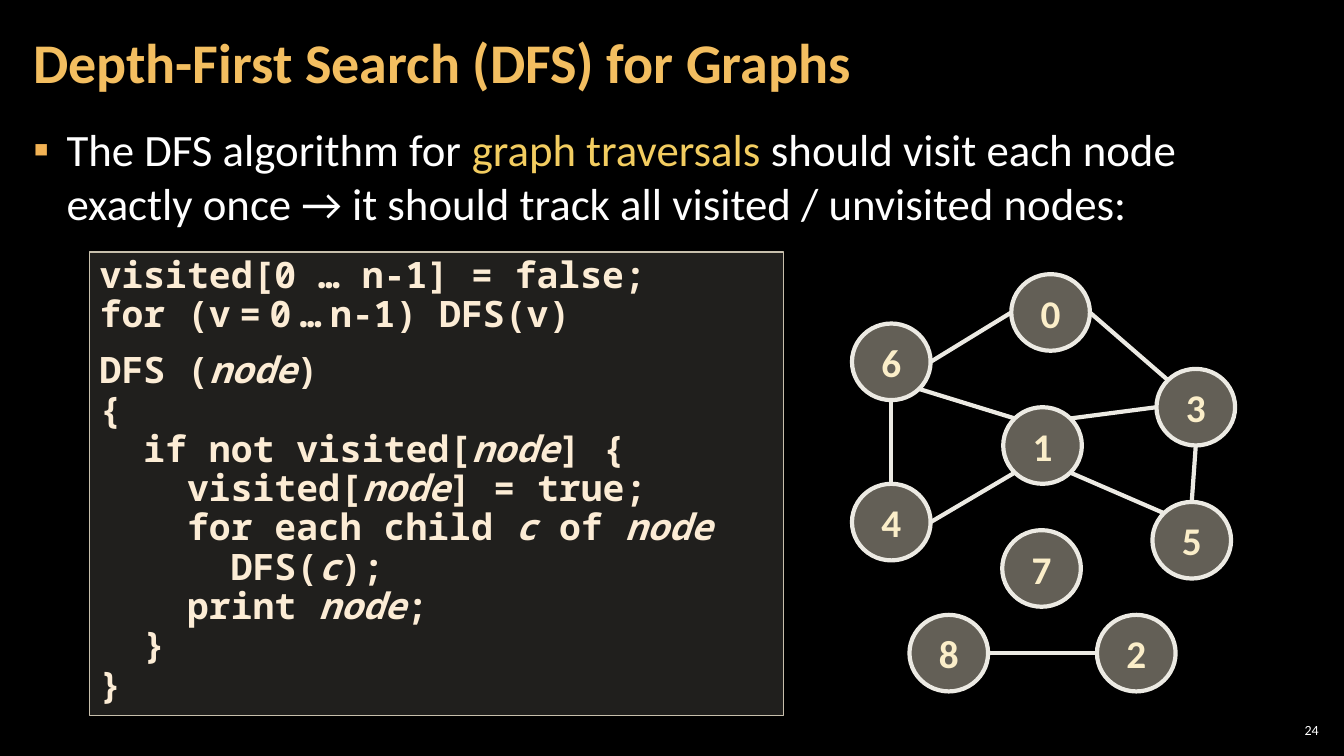
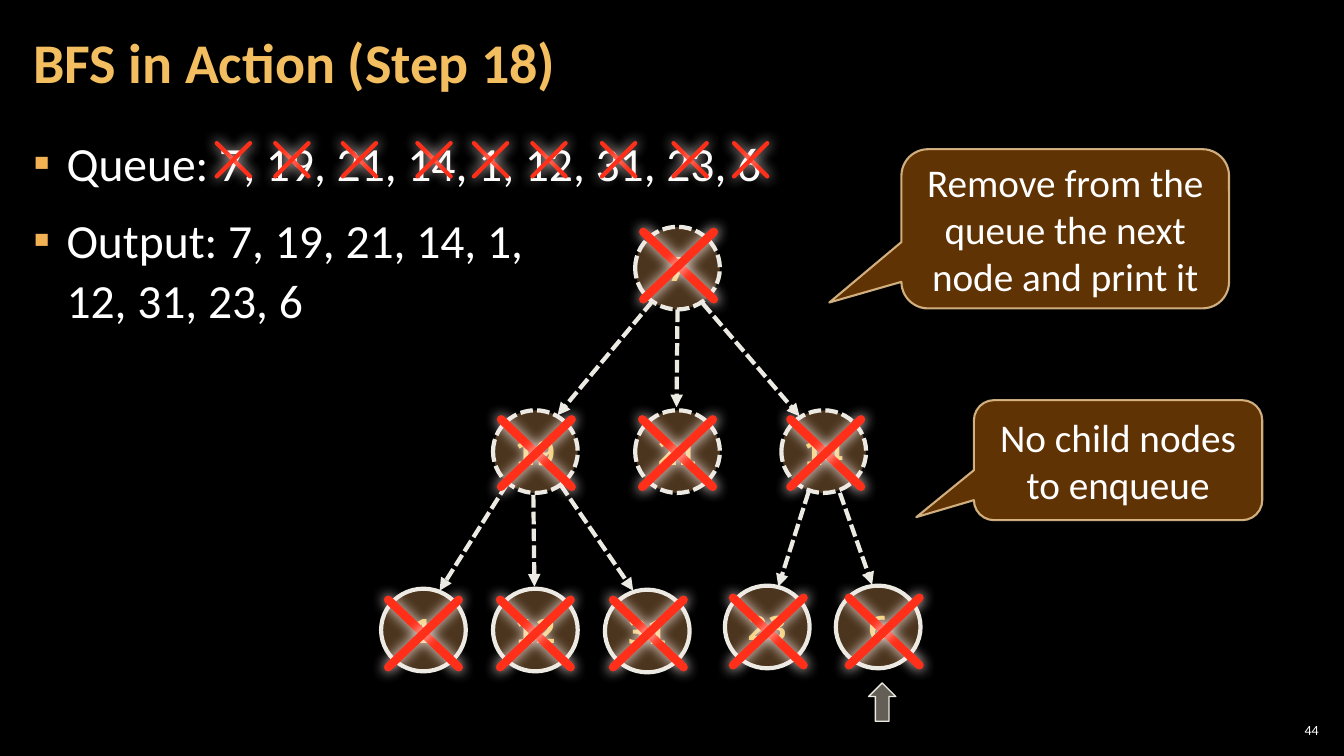
import dataclasses
import math
from typing import Any, NamedTuple, Optional

import lxml.etree
import pptx
import pptx.dml.color
import pptx.enum.dml
import pptx.enum.shapes
import pptx.enum.text
import pptx.oxml.ns
import pptx.slide
import pptx.util

Inches = pptx.util.Inches
qn = pptx.oxml.ns.qn
MIDDLE = pptx.enum.text.MSO_ANCHOR.MIDDLE
CENTER = pptx.enum.text.PP_ALIGN.CENTER
RIGHT = pptx.enum.text.PP_ALIGN.RIGHT
SHAPE = pptx.enum.shapes.MSO_SHAPE
DASH = pptx.enum.dml.MSO_LINE.SQUARE_DOT

Point = tuple[float, float]
Box = tuple[float, float, float, float]


@dataclasses.dataclass(frozen=True)
class Theme:
    # Colours
    background: str = "000000"
    text: str = "FFFFFF"
    title: str = "F3BE60"
    accent: str = "F3CD60"
    bullet: str = "F2B254"
    code: str = "FCECD5"
    panel: str = "D9D5C7"
    sand: str = "C7BFAC"
    line: str = "ECEAE3"
    graph_label: str = "FBEEC9"
    tree_fill: str = "6C4C2C"
    callout: str = "663606"
    callout_line: str = "F8D49E"
    cross: str = "FF2F19"
    glow: str = "FFEDEB"
    # Fonts and type sizes
    font: str = "Calibri"
    mono: str = "Noto Sans Mono"
    title_pt: int = 40
    label_pt: int = 28
    code_pt: int = 26
    tree_pt: int = 24
    page_pt: int = 10
    narrow_pt: int = 10


T = Theme()


class Node(NamedTuple):
    label: str
    left: float
    top: float


class TreeNode(NamedTuple):
    label: str
    left: float
    top: float
    cross: Point
    dash: Optional[Any] = None


class Edge(NamedTuple):
    start: str
    start_side: str
    end: str
    end_side: str


class Callout(NamedTuple):
    text: str
    box: Box
    tip: Point


# Text and format helpers
def rgb(color: str) -> pptx.dml.color.RGBColor:
    return pptx.dml.color.RGBColor.from_string(color)


def add_xml(parent: Any, tag: str, **attrs: str) -> Any:
    return lxml.etree.SubElement(parent, qn(tag), attrs)


def set_alpha(parent: Any, percent: int) -> None:
    add_xml(parent.find(qn("a:solidFill"))[0], "a:alpha", val=str(percent * 1000))


def write(tf: Any, text: str, *, size: float, color: str, font: str = T.font,
          bold: bool = False, align: Any = None, spacing: Optional[float] = None,
          before: float = 0, after: float = 0, bullet: str = "",
          alt: Optional[dict[str, Any]] = None) -> None:
    """Add a paragraph; every second piece between bars takes the alt format."""
    first = not tf.paragraphs[0].runs
    p = tf.paragraphs[0] if first else tf.add_paragraph()
    if bullet:
        pPr = p._p.get_or_add_pPr()
        pPr.set("marL", str(Inches(0.33)))
        pPr.set("indent", str(-Inches(0.33)))
        add_xml(add_xml(pPr, "a:buClr"), "a:srgbClr", val=T.bullet)
        add_xml(pPr, "a:buFont", typeface=T.font)
        add_xml(pPr, "a:buChar", char=bullet)
    p.alignment = align
    p.line_spacing = spacing
    p.space_before = pptx.util.Pt(0 if first else before)
    p.space_after = pptx.util.Pt(after)
    for i, piece in enumerate(text.split("|")):
        look = {"size": size, "color": color, "italic": False}
        if i % 2:
            look.update(alt or {})
        for j, row in enumerate(piece.split("\n")):
            if j:
                p.add_line_break()
            r = p.add_run()
            r.text = row
            r.font.name = font
            r.font.size = pptx.util.Pt(look["size"])
            r.font.bold = bold
            r.font.italic = look["italic"]
            r.font.color.rgb = rgb(look["color"])


def set_frame(tf: Any, insets: Box, anchor: Any = None, wrap: bool = True) -> Any:
    tf.word_wrap = wrap
    tf.vertical_anchor = anchor
    tf.margin_left, tf.margin_top, tf.margin_right, tf.margin_bottom = map(Inches, insets)
    return tf


# Drawing helpers
def add_text(s: pptx.slide.Slide, box: Box, insets: Box, anchor: Any = None) -> Any:
    return set_frame(s.shapes.add_textbox(*map(Inches, box)).text_frame, insets, anchor)


def add_panel(s: pptx.slide.Slide, kind: Any, box: Box, fill: str, alpha: int,
              line: str, width: float, dash: Any = None) -> Any:
    sp = s.shapes.add_shape(kind, *map(Inches, box))
    sp.shadow.inherit = False
    sp.fill.solid()
    sp.fill.fore_color.rgb = rgb(fill)
    set_alpha(sp.element.spPr, alpha)
    sp.line.color.rgb = rgb(line)
    sp.line.width = pptx.util.Pt(width)
    if dash:
        sp.line.dash_style = dash
    return sp


def add_line(shapes: Any, start: Point, end: Point, color: str = T.line, width: float = 3,
             arrow: bool = False, glow: bool = False) -> None:
    line = shapes.add_connector(pptx.enum.shapes.MSO_CONNECTOR.STRAIGHT,
                                *map(Inches, start + end))
    line.line.color.rgb = rgb(color)
    line.line.width = pptx.util.Pt(width)
    spPr = line.element.spPr
    ln = spPr.find(qn("a:ln"))
    if arrow:
        line.line.dash_style = DASH
        add_xml(ln, "a:tailEnd", type="triangle")
    effects = add_xml(spPr, "a:effectLst")
    if glow:
        ln.set("cap", "rnd")
        shadow = add_xml(effects, "a:outerShdw", blurRad=str(pptx.util.Pt(10)), dist="0",
                         dir="5400000", algn="ctr", rotWithShape="0")
        add_xml(add_xml(shadow, "a:srgbClr", val=T.glow), "a:alpha", val="100000")


def add_cross(s: pptx.slide.Slide, corner: Point, w: float, h: float, width: float) -> None:
    x, y = corner
    group = s.shapes.add_group_shape()
    for x1, x2 in ((x, x + w), (x + w, x)):
        add_line(group.shapes, (x1, y), (x2, y + h), T.cross, width, glow=True)


def add_callout(s: pptx.slide.Slide, callout: Callout) -> None:
    sp = add_panel(s, SHAPE.ROUNDED_RECTANGULAR_CALLOUT, callout.box, T.callout, 95,
                   T.callout_line, 1.5)
    set_alpha(sp.element.spPr.find(qn("a:ln")), 80)
    for i, value in enumerate(callout.tip + (0.167,)):
        sp.adjustments[i] = value
    tf = set_frame(sp.text_frame, (0.1, 0.05, 0.1, 0.05), MIDDLE)
    write(tf, callout.text, size=T.label_pt, color=T.text, align=CENTER)


def new_slide(prs: Any, title: str, page: int, body_top: float) -> tuple[pptx.slide.Slide, Any]:
    """Make a slide with title and page number; return it with its body frame."""
    s = prs.slides.add_slide(prs.slide_layouts[6])
    s.background.fill.solid()
    s.background.fill.fore_color.rgb = rgb(T.background)
    insets = (0.12, 0.04, 0.12, 0.04)
    write(add_text(s, (12.65, 7.14, 0.47, 0.21), (0.04,) * 4, MIDDLE), str(page),
          size=T.page_pt, color=T.text, align=RIGHT)
    body = add_text(s, (0.21, body_top, 12.91, 6.09), insets)
    write(add_text(s, (0.21, 0.04, 10.47, 1.21), insets, MIDDLE), title,
          size=T.title_pt, color=T.title, bold=True, spacing=0.9)
    return s, body


# Slide: DFS code and graph
CODE = (
    "visited[0 … n-1] = false;",
    "for (v| |=| |0| |…| |n-1) DFS(v)",
    "DFS (|node|)",
    "{",
    "  if not visited[|node|] {",
    "    visited[|node|] = true;",
    "    for each child |c| of |node",
    "      DFS(|c|);",
    "    print |node|;",
    "  }",
    "}",
)
NARROW_ROW, FUNCTION_ROW = 1, 2
GRAPH_W, GRAPH_H = 0.78, 0.76
GRAPH = {n.label: n for n in (
    Node("0", 10.03, 2.72), Node("6", 8.45, 3.21), Node("4", 8.45, 4.8),
    Node("1", 9.95, 4.04), Node("5", 11.43, 4.98), Node("2", 10.88, 6.1),
    Node("3", 11.47, 3.66), Node("8", 9.02, 6.1), Node("7", 9.94, 5.26),
)}
EDGES = (
    Edge("0", "W", "6", "E"), Edge("0", "E", "3", "NW"), Edge("3", "S", "5", "N"),
    Edge("6", "SE", "1", "NW"), Edge("6", "S", "4", "N"), Edge("3", "W", "1", "NE"),
    Edge("4", "E", "1", "SW"), Edge("1", "SE", "5", "NW"), Edge("8", "E", "2", "W"),
)
SIDES = ("E", "SE", "S", "SW", "W", "NW", "N", "NE")


def rim_point(node: Node, side: str) -> Point:
    angle = SIDES.index(side) * math.pi / 4
    return (node.left + GRAPH_W / 2 * (1 + math.cos(angle)),
            node.top + GRAPH_H / 2 * (1 + math.sin(angle)))


def dfs_slide(prs: Any) -> None:
    s, body = new_slide(prs, "Depth-First Search (DFS) for Graphs", 24, 1.17)
    write(body, "The DFS algorithm for |graph traversals |should visit each node exactly once "
          "→ it should track all visited / unvisited nodes:", size=32, color=T.text,
          before=6, after=6, bullet="▪", alt={"color": T.accent})

    panel = add_panel(s, SHAPE.RECTANGLE, (0.89, 2.5, 6.88, 4.6), T.panel, 15, T.sand, 1)
    tf = set_frame(panel.text_frame, (0.1, 0.05, 0.1, 0.05), pptx.enum.text.MSO_ANCHOR.TOP)
    for i, row in enumerate(CODE):
        write(tf, row, size=T.code_pt, color=T.code, font=T.mono, bold=True, spacing=0.9,
              align=pptx.enum.text.PP_ALIGN.LEFT, before=12 if i == FUNCTION_ROW else 0,
              alt={"size": T.narrow_pt} if i == NARROW_ROW else {"italic": True})

    for edge in EDGES:
        add_line(s.shapes, rim_point(GRAPH[edge.start], edge.start_side),
                 rim_point(GRAPH[edge.end], edge.end_side))
    for node in GRAPH.values():
        sp = add_panel(s, SHAPE.OVAL, (node.left, node.top, GRAPH_W, GRAPH_H), T.sand, 50,
                       T.line, 3)
        tf = set_frame(sp.text_frame, (0.04, 0.05, 0.04, 0.05), MIDDLE)
        write(tf, node.label, size=T.label_pt, color=T.graph_label, bold=True, align=CENTER)


# Slide: BFS tree, queue and callouts
TREE = (
    TreeNode("7", 6.3, 2.25, (6.38, 2.3), DASH),
    TreeNode("19", 4.89, 4.07, (4.97, 4.16), DASH),
    TreeNode("21", 6.3, 4.07, (6.37, 4.16), DASH),
    TreeNode("14", 7.75, 4.07, (7.84, 4.16), DASH),
    TreeNode("1", 3.78, 5.84, (3.85, 5.95)),
    TreeNode("12", 4.89, 5.84, (4.96, 5.95)),
    TreeNode("31", 6, 5.85, (6.08, 5.95)),
    TreeNode("23", 7.19, 5.81, (7.27, 5.93)),
    TreeNode("6", 8.29, 5.81, (8.42, 5.93)),
)
ARROWS = (
    ((6.47, 2.99), (5.53, 4.12)), ((6.72, 3.07), (6.71, 4.04)), ((6.97, 3.01), (7.93, 4.13)),
    ((5.03, 4.8), (4.36, 5.86)), ((5.29, 4.91), (5.3, 5.82)), ((5.56, 4.81), (6.28, 5.86)),
    ((8.02, 4.88), (7.72, 5.82)), ((8.33, 4.89), (8.65, 5.8)),
)
QUEUE_CROSSES = (2.15, 2.73, 3.4, 4.14, 4.7, 5.28, 5.97, 6.68, 7.28)
CALLOUTS = (
    Callout("No child nodes to enqueue", (9.66, 3.97, 2.86, 1.19), (-0.7, 0.475)),
    Callout("Remove from the queue the next node and print it", (8.94, 1.48, 3.25, 1.58),
            (-0.72, 0.463)),
)


def bfs_slide(prs: Any) -> None:
    s, body = new_slide(prs, "BFS in Action (Step 18)", 44, 1.26)
    for text in ("Queue: 7, 19, 21, 14, 1, 12, 31, 23, 6",
                 "Output: 7, 19, 21, 14, 1,\n12, 31, 23, 6"):
        write(body, text, size=34, color=T.text, spacing=1.05, before=6, after=6, bullet="▪")

    for start, end in ARROWS:
        add_line(s.shapes, start, end, arrow=True)
    for node in TREE:
        sp = add_panel(s, SHAPE.OVAL, (node.left, node.top, 0.84, 0.82), T.tree_fill, 70,
                       T.line, 3, node.dash)
        tf = set_frame(sp.text_frame, (0.1, 0.05, 0.1, 0.05), MIDDLE, wrap=False)
        write(tf, node.label, size=T.tree_pt, color=T.accent, font=T.mono, bold=True,
              align=CENTER)
    for node in TREE:
        add_cross(s, node.cross, 0.7, 0.67, 6)
    for left in QUEUE_CROSSES:
        add_cross(s, (left, 1.42), 0.33, 0.33, 3)

    pointer = add_panel(s, SHAPE.RIGHT_ARROW, (8.56, 6.83, 0.38, 0.27), T.sand, 50, T.line, 1)
    pointer.rotation = 270
    for callout in CALLOUTS:
        add_callout(s, callout)


def main() -> None:
    prs = pptx.Presentation()
    prs.slide_width, prs.slide_height = Inches(13.33), Inches(7.5)
    dfs_slide(prs)
    bfs_slide(prs)
    prs.save("out.pptx")


if __name__ == "__main__":
    main()
